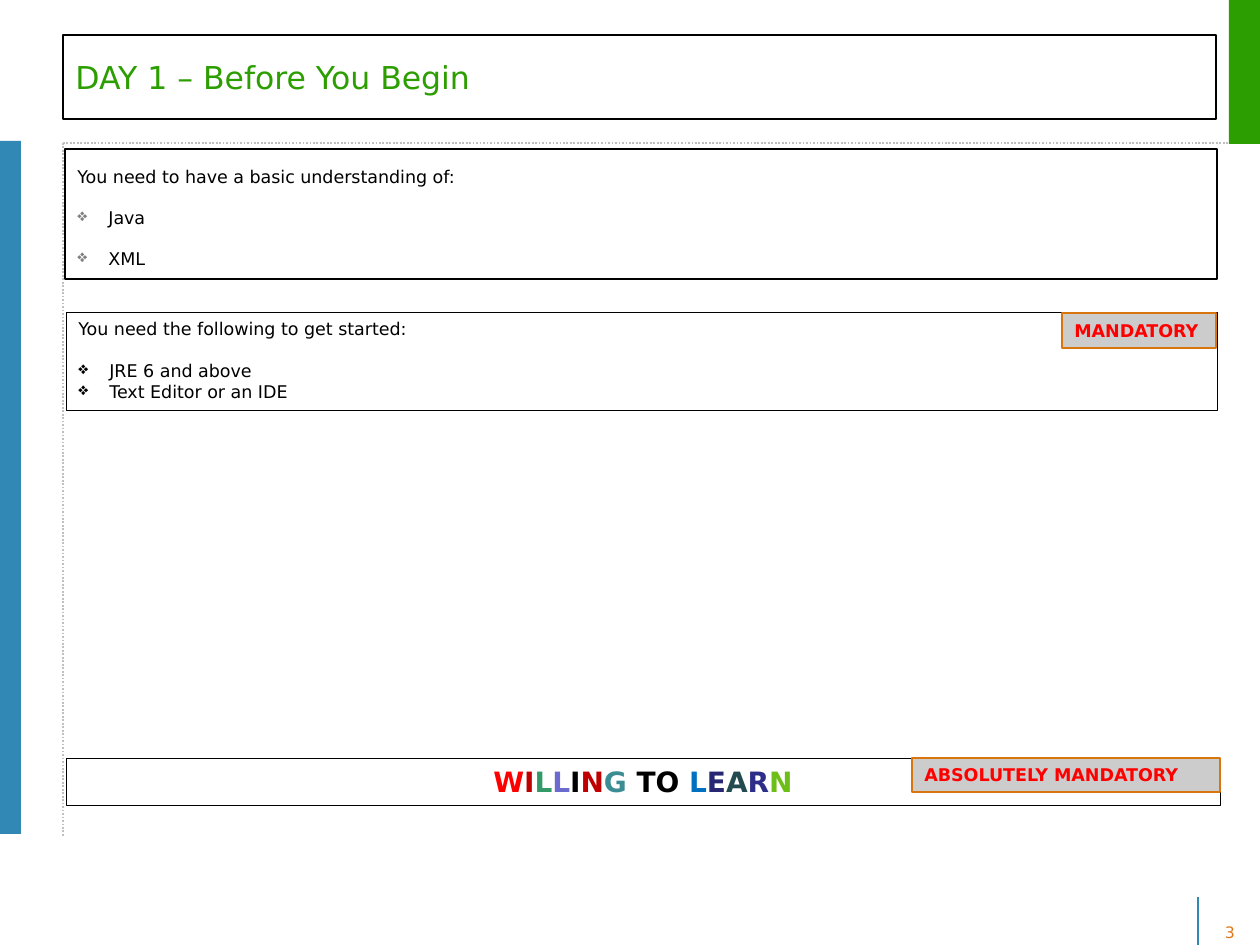
import pptx
import pptx.util
import pptx.dml.color
import pptx.enum.dml
import pptx.enum.shapes
import pptx.enum.text
import lxml.etree
from dataclasses import dataclass

ALIGN = pptx.enum.text.PP_ALIGN
ANCHOR = pptx.enum.text.MSO_ANCHOR
PIXEL = 914400 / 126
INDENT = 31


@dataclass(frozen=True)
class Theme:
    """Colours, type sizes and font of the deck."""
    font: str = "DejaVu Sans"
    black: str = "000000"
    blue: str = "3188B4"
    green: str = "2D9E01"
    orange: str = "DF7A1C"
    dots: str = "C0C0C0"
    bullet: str = "808080"
    alert: str = "FF0000"
    tag_fill: str = "CCCCCC"
    tag_line: str = "D8750D"
    title: int = 18
    banner: int = 16
    body: int = 10
    number: int = 9


THEME = Theme()


def px(length):
    """Turn picture pixels into EMU."""
    return pptx.util.Emu(round(length * PIXEL))


def rgb(value):
    """Turn a hex string into a colour."""
    return pptx.dml.color.RGBColor.from_string(value)


def add_panel(page, box, fill=None, line=None, width=0.75, anchor=ANCHOR.TOP):
    """Add a rectangle with optional fill and outline."""
    panel = page.shapes.add_shape(pptx.enum.shapes.MSO_SHAPE.RECTANGLE, *map(px, box))
    panel.shadow.inherit = False
    for part, colour in ((panel.fill, fill), (panel.line.fill, line)):
        if colour:
            part.solid()
            part.fore_color.rgb = rgb(colour)
        else:
            part.background()
    if line:
        panel.line.width = pptx.util.Pt(width)
    panel.text_frame.word_wrap = True
    panel.text_frame.vertical_anchor = anchor
    return panel


def add_rule(page, start, end, colour, dash=None):
    """Add a straight one-point line."""
    rule = page.shapes.add_connector(
        pptx.enum.shapes.MSO_CONNECTOR.STRAIGHT, *map(px, start + end))
    rule.line.width = pptx.util.Pt(1)
    rule.line.color.rgb = rgb(colour)
    if dash:
        rule.line.dash_style = dash
    lxml.etree.SubElement(rule.element.spPr, pptx.oxml.ns.qn("a:effectLst"))


def set_bullet(para, colour):
    """Give a paragraph a diamond bullet and a hanging indent."""
    props = para._p.get_or_add_pPr()
    props.set("marL", str(px(INDENT)))
    props.set("indent", str(-px(INDENT)))
    holder = lxml.etree.SubElement(props, pptx.oxml.ns.qn("a:buClr"))
    lxml.etree.SubElement(holder, pptx.oxml.ns.qn("a:srgbClr"), val=colour)
    lxml.etree.SubElement(props, pptx.oxml.ns.qn("a:buChar"), char="❖")


def write(panel, spans, size, bold=False, first=True, **layout):
    """Write one paragraph of (text, colour) spans into a panel."""
    frame = panel.text_frame
    para = frame.paragraphs[0] if first else frame.add_paragraph()
    for name, value in ({"alignment": ALIGN.LEFT} | layout).items():
        setattr(para, name, value)
    for text, colour in spans:
        span = para.add_run()
        span.text = text
        look = {"name": THEME.font, "size": pptx.util.Pt(size), "bold": bold}
        for name, value in look.items():
            setattr(span.font, name, value)
        span.font.color.rgb = rgb(colour)
    return para


def add_frame(page):
    """Draw the side bars, rules and page number."""
    dotted = pptx.enum.dml.MSO_LINE.ROUND_DOT
    add_rule(page, (1198, 945), (1198, 897), THEME.blue)
    add_rule(page, (63, 143), (1242, 143), THEME.dots, dotted)
    add_rule(page, (63, 143), (63, 836), THEME.dots, dotted)
    add_panel(page, (0, 141, 21, 693), THEME.blue)
    add_panel(page, (1229, 0, 31, 144), THEME.green)
    number = add_panel(page, (1205, 917, 50, 32))
    write(number, [("3", THEME.orange)], THEME.number, alignment=ALIGN.CENTER)


def add_title(page, box, text):
    """Draw the outlined title."""
    panel = add_panel(page, box, line=THEME.black, anchor=ANCHOR.MIDDLE)
    write(panel, [(text, THEME.green)], THEME.title)


def add_list(page, box, heading, items, width, bullet, lead, layout):
    """Draw a heading and its bulleted items, the first item led by a gap."""
    panel = add_panel(page, box, line=THEME.black, width=width)
    write(panel, [(heading, THEME.black)], THEME.body, **layout)
    for index, item in enumerate(items):
        gap = {} if index else {"space_before": pptx.util.Pt(lead)}
        para = write(panel, [(item, THEME.black)], THEME.body, first=False, **(layout | gap))
        set_bullet(para, bullet)


def add_tag(page, box, text):
    """Draw a grey tag with red bold text."""
    panel = add_panel(page, box, THEME.tag_fill, THEME.tag_line, anchor=ANCHOR.MIDDLE)
    write(panel, [(text, THEME.alert)], THEME.body, bold=True)


def add_banner(page, box, spans):
    """Draw the centred multicoloured banner."""
    panel = add_panel(page, box, line=THEME.black, width=0.25)
    write(panel, spans, THEME.banner, bold=True, alignment=ALIGN.CENTER)


def build():
    """Build and save the deck."""
    deck = pptx.Presentation()
    deck.slide_width, deck.slide_height = px(1260), px(945)
    page = deck.slides.add_slide(deck.slide_layouts[6])
    add_frame(page)
    add_title(page, (63, 35, 1153, 84), "DAY 1 – Before You Begin")
    airy = {"line_spacing": 1.5, "space_before": pptx.util.Pt(5.4)}
    add_list(page, (65, 149, 1152, 130), "You need to have a basic understanding of:",
             ["Java", "XML"], 0.75, THEME.bullet, 5.4, airy)
    add_list(page, (66, 312, 1151, 98), "You need the following to get started:",
             ["JRE 6 and above", "Text Editor or an IDE"], 0.25, THEME.black, 11.7, {})
    add_tag(page, (1062, 313, 154, 35), "MANDATORY")
    letters = ["W", "I", "L", "L", "I", "N", "G", " TO ", "L", "E", "A", "R", "N"]
    colours = ["FF0000", "C00000", "339966", "6B6BCF", "000000", "C00000", "3C8C93",
               "000000", "0070C0", "262673", "224B50", "2D2D8A", "6DBF17"]
    add_banner(page, (66, 758, 1154, 47), list(zip(letters, colours)))
    add_tag(page, (912, 758, 308, 34), "ABSOLUTELY MANDATORY")
    deck.save("out.pptx")


build()
